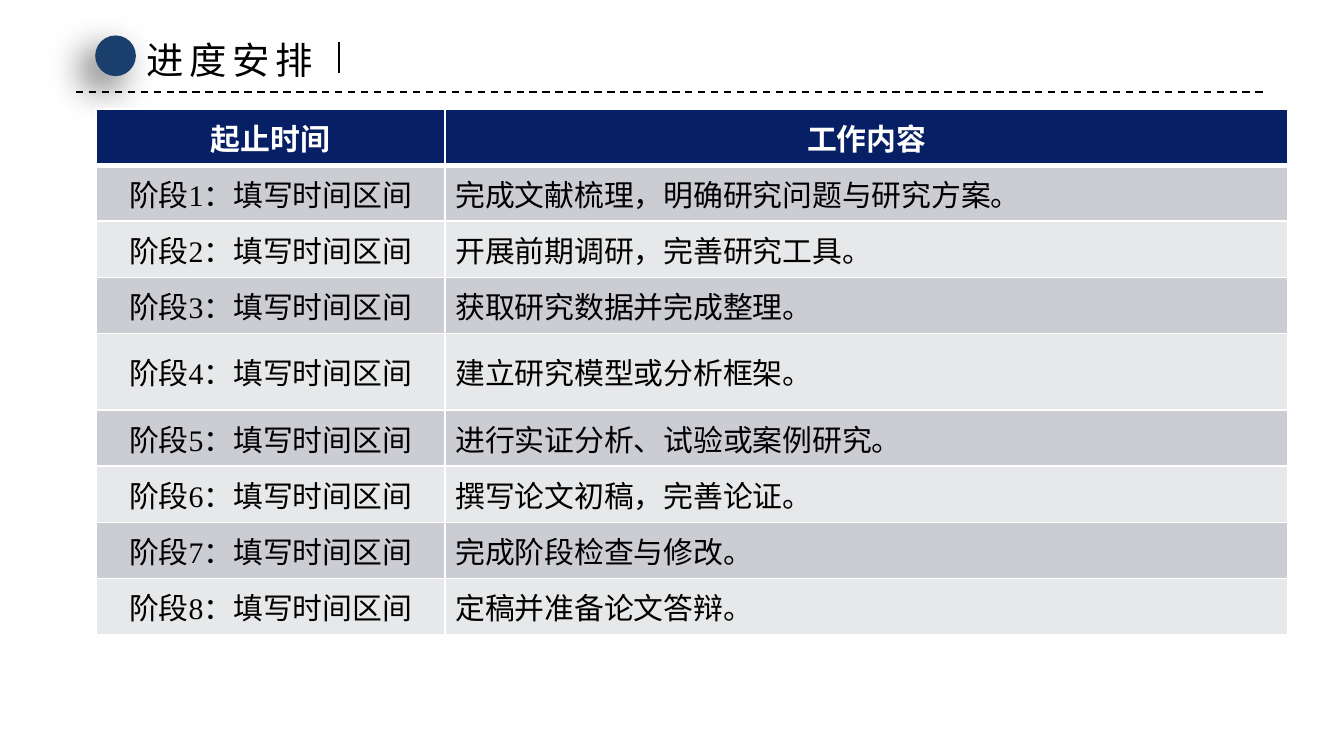
from dataclasses import dataclass

from lxml.etree import SubElement
from pptx import Presentation
from pptx.dml.color import RGBColor
from pptx.enum.dml import MSO_LINE
from pptx.enum.lang import MSO_LANGUAGE_ID as Language
from pptx.enum.shapes import MSO_CONNECTOR as Connector, MSO_SHAPE as Shape
from pptx.enum.text import MSO_ANCHOR as Anchor, MSO_AUTO_SIZE as AutoSize, PP_ALIGN as Align
from pptx.oxml import parse_xml
from pptx.oxml.ns import nsdecls, qn
from pptx.util import Pt


@dataclass(frozen=True)
class Theme:
    black: str = "000000"
    white: str = "FFFFFF"
    dot: str = "1A3F6C"
    header: str = "071F65"
    bands: tuple = ("CCCDD3", "E7E8EA")
    chinese_font: str = "Noto Sans CJK SC"
    header_font: str = "Arial"
    body_font: str = "Times New Roman"
    title_size: int = 20
    table_size: int = 16


THEME = Theme()
TITLE = "进度安排"
HEADINGS = ("起止时间", "工作内容")
TASKS = (
    "完成文献梳理，明确研究问题与研究方案。",
    "开展前期调研，完善研究工具。",
    "获取研究数据并完成整理。",
    "建立研究模型或分析框架。",
    "进行实证分析、试验或案例研究。",
    "撰写论文初稿，完善论证。",
    "完成阶段检查与修改。",
    "定稿并准备论文答辩。",
)
COLUMN_WIDTHS = (187.2, 451.6)
ROW_HEIGHT = 30.1
TALL_ROW, TALL_HEIGHT = 4, 41


def format_run(run, font_name, size, color, bold=False):
    font = run.font
    font.size, font.bold = Pt(size), bold
    font.language_id = Language.SIMPLIFIED_CHINESE
    font.color.rgb = RGBColor.from_string(color)
    font.name = font_name
    properties = run._r.get_or_add_rPr()
    SubElement(properties, qn("a:ea"), typeface=THEME.chinese_font)
    return properties


def add_line(slide, start, end, width, dash=None):
    line = slide.shapes.add_connector(Connector.STRAIGHT, *map(Pt, start + end))
    line.line.color.rgb = RGBColor.from_string(THEME.black)
    line.line.width = Pt(width)
    if dash:
        line.line.dash_style = dash
    SubElement(line._element.spPr, qn("a:effectLst"))


def add_dot(slide, left, top, diameter):
    dot = slide.shapes.add_shape(Shape.OVAL, Pt(left), Pt(top), Pt(diameter), Pt(diameter))
    dot.fill.solid()
    dot.fill.fore_color.rgb = RGBColor.from_string(THEME.dot)
    dot.line.fill.background()
    dot._element.spPr.append(parse_xml(
        f'<a:effectLst {nsdecls("a")}>'
        f'<a:outerShdw blurRad="{Pt(20)}" dist="{Pt(10)}" dir="{135 * 60000}" algn="tr" rotWithShape="0">'
        f'<a:srgbClr val="{THEME.black}"><a:alpha val="60000"/></a:srgbClr>'
        '</a:outerShdw></a:effectLst>'))


def add_title(slide, left, top, width, height):
    title = slide.shapes.add_textbox(Pt(left), Pt(top), Pt(width), Pt(height))
    frame = title.text_frame
    frame.text = TITLE
    frame.word_wrap = False
    frame.auto_size = AutoSize.SHAPE_TO_FIT_TEXT
    run = frame.paragraphs[0].runs[0]
    properties = format_run(run, THEME.chinese_font, THEME.title_size, THEME.black)
    properties.set("spc", "300")


def set_borders(cell, bottom_width):
    properties = cell._tc.get_or_add_tcPr()
    widths = {"lnL": 1, "lnR": 1, "lnT": 1, "lnB": bottom_width}
    for position, (side, width) in enumerate(widths.items()):
        properties.insert(position, parse_xml(
            f'<a:{side} {nsdecls("a")} w="{Pt(width)}"><a:solidFill>'
            f'<a:srgbClr val="{THEME.white}"/></a:solidFill></a:{side}>'))


def fill_cell(cell, text, row, column):
    is_header = row == 0
    cell.text_frame.text = text
    paragraph = cell.text_frame.paragraphs[0]
    paragraph.alignment = Align.CENTER if is_header or column == 0 else Align.LEFT
    cell.fill.solid()
    if is_header:
        fill, style = THEME.header, (THEME.header_font, THEME.table_size, THEME.white, True)
    else:
        fill = THEME.bands[(row - 1) % 2]
        style = (THEME.body_font, THEME.table_size, THEME.black)
        cell.vertical_anchor = Anchor.MIDDLE
        cell.margin_left = cell.margin_right = Pt(5.4)
        cell.margin_top = cell.margin_bottom = Pt(0)
    cell.fill.fore_color.rgb = RGBColor.from_string(fill)
    format_run(paragraph.runs[0], *style)
    set_borders(cell, 3 if is_header else 1)


def add_schedule(slide, left, top):
    rows = [HEADINGS]
    rows += [(f"阶段{number}：填写时间区间", task) for number, task in enumerate(TASKS, 1)]
    heights = [TALL_HEIGHT if row == TALL_ROW else ROW_HEIGHT for row in range(len(rows))]
    table = slide.shapes.add_table(
        len(rows), len(COLUMN_WIDTHS), Pt(left), Pt(top),
        Pt(sum(COLUMN_WIDTHS)), Pt(sum(heights))).table
    for column, width in zip(table.columns, COLUMN_WIDTHS):
        column.width = Pt(width)
    for row, (texts, height) in enumerate(zip(rows, heights)):
        table.rows[row].height = Pt(height)
        for column, text in enumerate(texts):
            fill_cell(table.cell(row, column), text, row, column)


def main():
    presentation = Presentation()
    presentation.slide_width, presentation.slide_height = Pt(720), Pt(405)
    slide = presentation.slides.add_slide(presentation.slide_layouts[6])
    add_line(slide, (40.6, 49.2), (679.4, 49.2), 1, MSO_LINE.DASH)
    add_dot(slide, 51, 19, 21.8)
    add_title(slide, 71.5, 16.5, 107.3, 31.5)
    add_line(slide, (181.6, 22.7), (181.6, 39.2), 1.5)
    add_schedule(slide, 51.3, 58.4)
    presentation.save("out.pptx")


if __name__ == "__main__":
    main()
